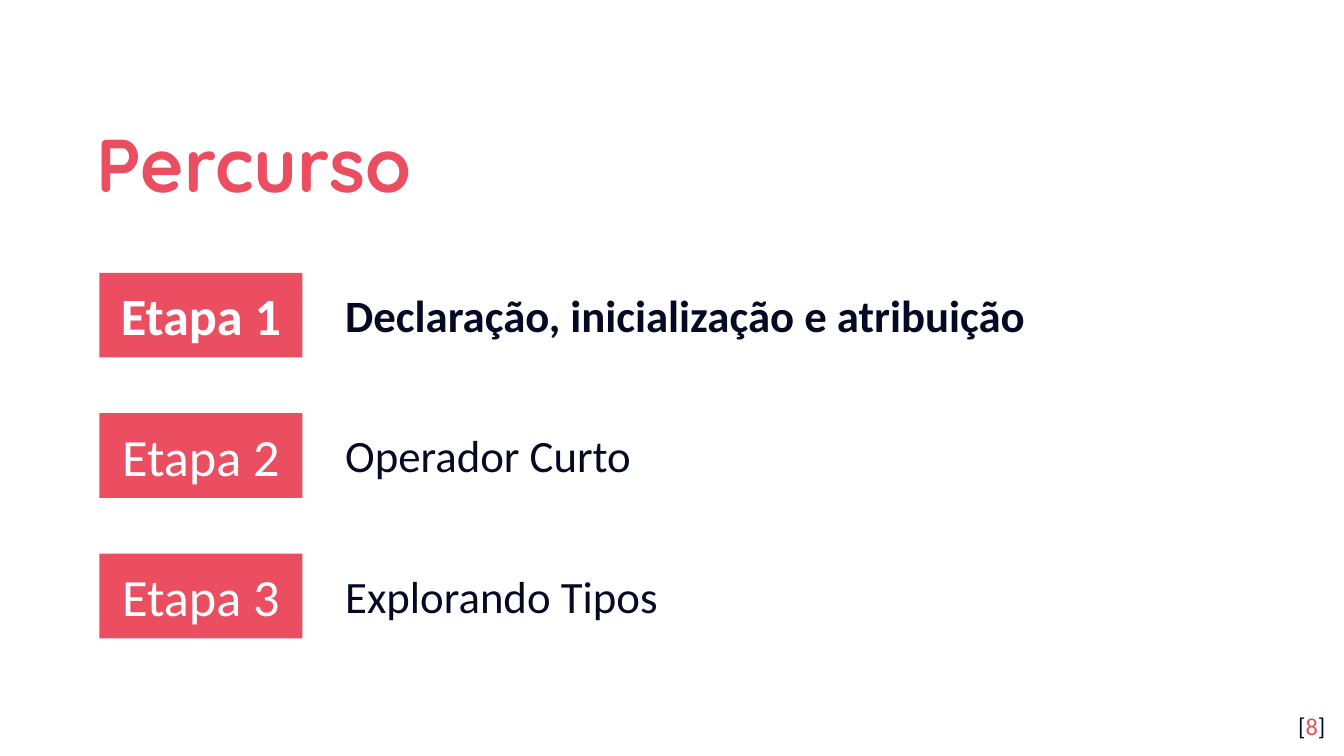
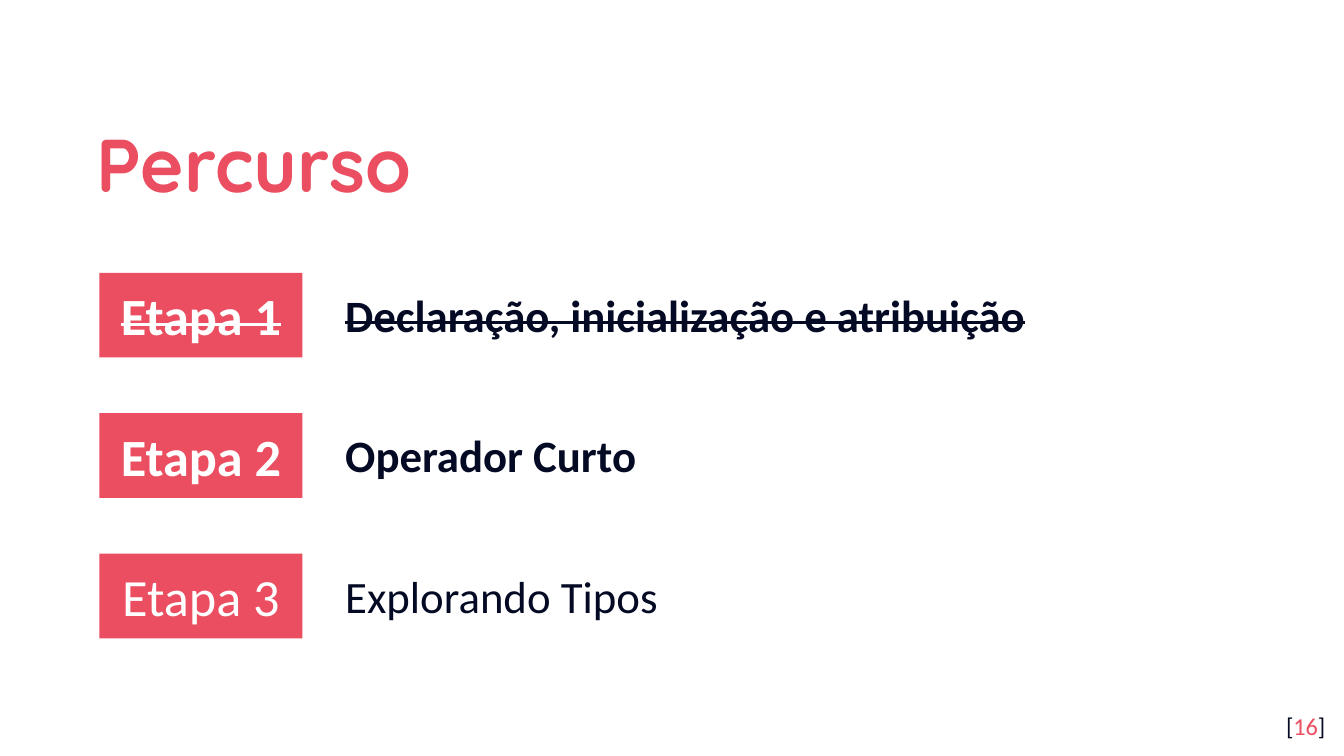
from dataclasses import dataclass

from pptx import Presentation
from pptx.dml.color import RGBColor
from pptx.enum.shapes import MSO_SHAPE
from pptx.enum.text import MSO_ANCHOR, MSO_AUTO_SIZE, PP_ALIGN
from pptx.util import Inches, Pt

RECTANGLE = MSO_SHAPE.RECTANGLE
TOP, MIDDLE = MSO_ANCHOR.TOP, MSO_ANCHOR.MIDDLE
LEFT, CENTER, RIGHT = PP_ALIGN.LEFT, PP_ALIGN.CENTER, PP_ALIGN.RIGHT
NO_AUTOFIT = MSO_AUTO_SIZE.NONE
TITLE_ONLY = 5


@dataclass(frozen=True)
class Theme:
    accent: RGBColor = RGBColor(0xEA, 0x4E, 0x60)
    ink: RGBColor = RGBColor(0x04, 0x0A, 0x24)
    paper: RGBColor = RGBColor(0xFF, 0xFF, 0xFF)
    title_font: str = "Quicksand"
    body_font: str = "Calibri"
    title_size: int = 40
    label_size: int = 28
    topic_size: int = 24
    number_size: int = 13


@dataclass(frozen=True)
class Box:
    left: float
    top: float
    width: float
    height: float

    def inches(self):
        return [Inches(side) for side in (self.left, self.top, self.width, self.height)]


THEME = Theme()
PAGE_WIDTH = 10
PAGE_HEIGHT = PAGE_WIDTH * 9 / 16
TITLE_BOX = Box(0.62, 0.7, 8.1, 0.92)
STEPS_BOX = Box(0.74, 2.03, 8.48, 2.72)
NUMBER_BOX = Box(9.36, 5.19, 0.6, 0.43)
LABEL_WIDTH, LABEL_HEIGHT = 1.51, 0.63
TOPIC_OFFSET, TOPIC_DROP, TOPIC_HEIGHT = 1.73, 0.06, 0.5

TITLE = "Percurso"
TOPICS = ["Declaração, inicialização e atribuição", "Operador Curto", "Explorando Tipos"]
# Page number and the step that is current on that page.
PAGES = [(8, 1), (16, 2)]


def set_values(target, values):
    for name, value in values.items():
        setattr(target, name, value)


def format_frame(frame, anchor=TOP, inset=0.1):
    set_values(frame, {
        "word_wrap": True, "auto_size": NO_AUTOFIT, "vertical_anchor": anchor,
        "margin_left": Inches(0.1), "margin_right": Inches(0.1),
        "margin_top": Inches(inset), "margin_bottom": Inches(inset),
    })
    return frame.paragraphs[0]


def set_indent(para, margin, first_line):
    properties = para._p.get_or_add_pPr()
    properties.set("marL", str(Inches(margin)))
    properties.set("indent", str(Inches(first_line)))


def add_span(para, text, size, color, font=THEME.body_font, bold=False, struck=False):
    span = para.add_run()
    span.text = text
    set_values(span.font, {"name": font, "size": Pt(size), "bold": bold})
    span.font.color.rgb = color
    if struck:
        span._r.get_or_add_rPr().set("strike", "sngStrike")


def place_title(page, box):
    title = page.shapes.title
    title.left, title.top, title.width, title.height = box.inches()
    para = format_frame(title.text_frame, MIDDLE)
    set_values(para, {"alignment": LEFT, "line_spacing": 1.15})
    add_span(para, TITLE, THEME.title_size, THEME.accent, THEME.title_font, bold=True)


def add_label(page, box, text, style):
    label = page.shapes.add_shape(RECTANGLE, *box.inches())
    label.shadow.inherit = False
    label.fill.solid()
    label.fill.fore_color.rgb = THEME.accent
    label.line.fill.background()
    para = format_frame(label.text_frame, MIDDLE)
    set_values(para, {"alignment": CENTER, "level": 1})
    set_indent(para, 0, 0)
    add_span(para, text, THEME.label_size, THEME.paper, **style)


def add_topic(page, box, text, style):
    topic = page.shapes.add_textbox(*box.inches())
    para = format_frame(topic.text_frame, inset=0.05)
    set_indent(para, 0.5, -0.5)
    add_span(para, text, THEME.topic_size, THEME.ink, **style)


def add_steps(page, box, current):
    """Bold the steps up to the current one and strike out those already done."""
    pitch = (box.height - LABEL_HEIGHT) / (len(TOPICS) - 1)
    for step, text in enumerate(TOPICS, start=1):
        top = box.top + (step - 1) * pitch
        style = {"bold": step <= current, "struck": step < current}
        add_label(page, Box(box.left, top, LABEL_WIDTH, LABEL_HEIGHT), f"Etapa {step}", style)
        topic_box = Box(box.left + TOPIC_OFFSET, top + TOPIC_DROP,
                        box.width - TOPIC_OFFSET, TOPIC_HEIGHT)
        add_topic(page, topic_box, text, style)


def add_page_number(page, box, number):
    para = format_frame(page.shapes.add_textbox(*box.inches()).text_frame)
    para.alignment = RIGHT
    for text, color in (("[", THEME.ink), (str(number), THEME.accent), ("]", THEME.ink)):
        add_span(para, text, THEME.number_size, color)


def add_route_page(deck, number, current):
    page = deck.slides.add_slide(deck.slide_layouts[TITLE_ONLY])
    page.background.fill.solid()
    page.background.fill.fore_color.rgb = THEME.paper
    place_title(page, TITLE_BOX)
    add_steps(page, STEPS_BOX, current)
    add_page_number(page, NUMBER_BOX, number)


def main():
    deck = Presentation()
    deck.slide_width, deck.slide_height = Inches(PAGE_WIDTH), Inches(PAGE_HEIGHT)
    for number, current in PAGES:
        add_route_page(deck, number, current)
    deck.save("out.pptx")


if __name__ == "__main__":
    main()
